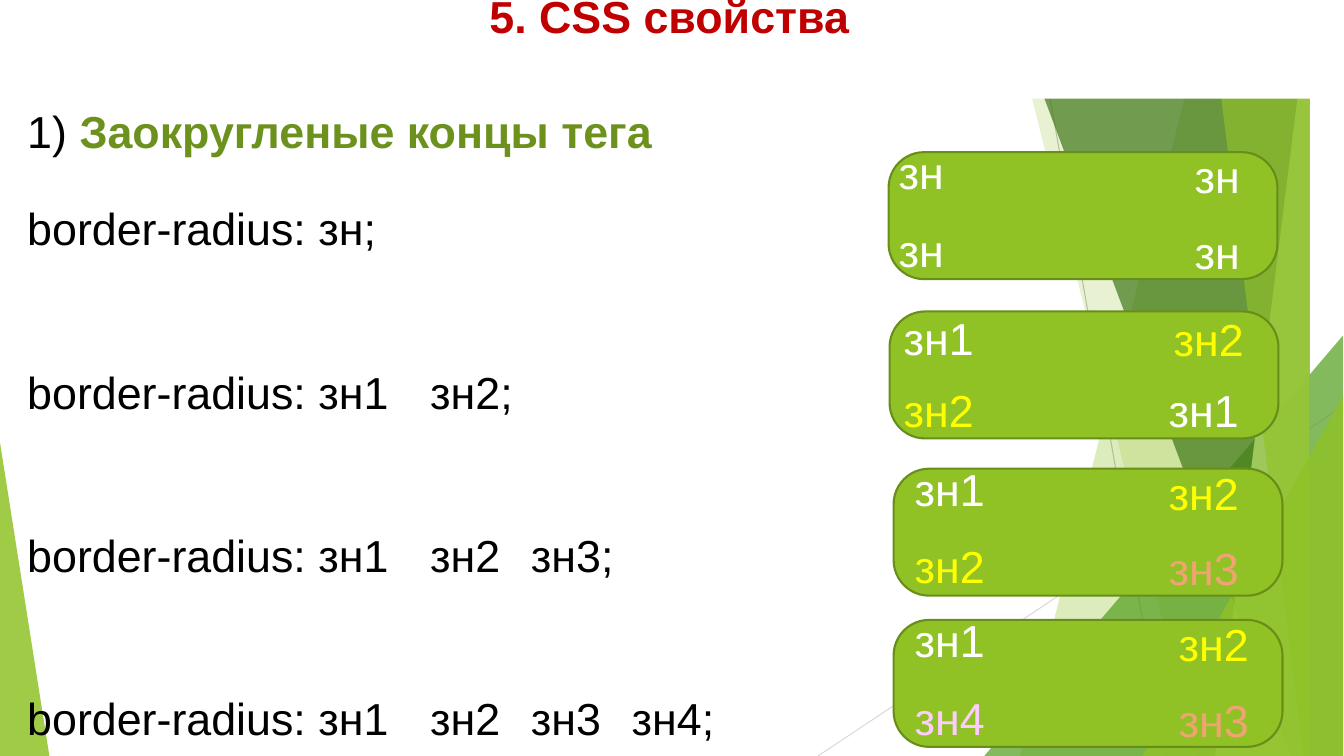
from typing import NamedTuple

from lxml.etree import SubElement
from pptx import Presentation
from pptx.dml.color import RGBColor
from pptx.enum.shapes import MSO_CONNECTOR, MSO_SHAPE
from pptx.enum.text import MSO_ANCHOR, MSO_AUTO_SIZE, PP_ALIGN
from pptx.oxml.ns import qn
from pptx.shapes.autoshape import Shape
from pptx.slide import Slide
from pptx.text.text import TextFrame, _Paragraph as Paragraph
from pptx.util import Inches, Pt

WHITE = RGBColor(0xFF, 0xFF, 0xFF)
BLACK = RGBColor(0x00, 0x00, 0x00)
RED = RGBColor(0xC0, 0x00, 0x00)
YELLOW = RGBColor(0xFF, 0xFF, 0x00)
ORANGE = RGBColor(0xF1, 0xA3, 0x74)
PINK = RGBColor(0xFF, 0xCC, 0xFF)
HEADING_GREEN = RGBColor(0x6C, 0x91, 0x1D)
GREEN = RGBColor(0x90, 0xC2, 0x26)
OUTLINE_GREEN = RGBColor(0x68, 0x8E, 0x19)
LEAF_GREEN = RGBColor(0x54, 0xA0, 0x21)
DARK_GREEN = RGBColor(0x3F, 0x78, 0x19)
LIGHT_GREEN = RGBColor(0xC0, 0xE4, 0x74)
GREY = RGBColor(0xBF, 0xBF, 0xBF)
LIGHT_GREY = RGBColor(0xD9, 0xD9, 0xD9)

FONT = "Arial"
TEXT_SIZE = Pt(32)
PAGE_RIGHT, PAGE_BOTTOM = 13.33, 7.5
VALUE_COLORS = {"зн": WHITE, "зн1": WHITE, "зн2": YELLOW, "зн3": ORANGE, "зн4": PINK}


class Ray(NamedTuple):
    start: tuple[float, float]
    end: tuple[float, float]
    color: RGBColor


class Facet(NamedTuple):
    """Band that reaches the right page edge, given by its left corners."""
    top_left: float
    bottom_left: float
    color: RGBColor
    opacity: int


class Wedge(NamedTuple):
    left: float
    top: float
    width: float
    apex: float
    color: RGBColor
    opacity: int


class Corner(NamedTuple):
    value: str
    left: float
    top: float


class RoundedBox(NamedTuple):
    left: float
    top: float
    corners: list[Corner]


RAYS = [
    Ray((10.25, 0), (11.58, 7.5), GREY),
    Ray((13.33, 4.03), (8.12, 7.5), LIGHT_GREY),
]
BACK_FACETS = [Facet(12.28, 10.04, GREEN, 30), Facet(10.5, 11.82, GREEN, 20)]
FRONT_FACETS = [
    Facet(10.21, 12.91, DARK_GREEN, 70),
    Facet(13.03, 11.92, LIGHT_GREEN, 70),
    Facet(11.96, 13.18, GREEN, 65),
]
BACK_WEDGES = [Wedge(9.77, 3.33, 3.56, 1, LEAF_GREEN, 72)]
FRONT_WEDGES = [
    Wedge(11.34, 3.93, 1.99, 1, GREEN, 80),
    Wedge(0, 4.39, 0.49, 0, GREEN, 85),
]
ROUNDED_BOXES = [
    RoundedBox(8.82, 1.51, [Corner("зн", 8.82, 1.39), Corner("зн", 8.82, 2.16),
                            Corner("зн", 11.76, 2.18), Corner("зн", 11.76, 1.43)]),
    RoundedBox(8.83, 3.09, [Corner("зн1", 8.87, 3.03), Corner("зн2", 8.87, 3.75),
                            Corner("зн1", 11.5, 3.75), Corner("зн2", 11.55, 3.04)]),
    RoundedBox(8.87, 4.65, [Corner("зн1", 8.98, 4.53), Corner("зн2", 8.98, 5.3),
                            Corner("зн3", 11.5, 5.32), Corner("зн2", 11.5, 4.57)]),
    RoundedBox(8.87, 6.15, [Corner("зн1", 8.98, 6.03), Corner("зн4", 8.98, 6.8),
                            Corner("зн3", 11.6, 6.82), Corner("зн2", 11.6, 6.07)]),
]
RULES = [
    "border-radius: зн;",
    "border-radius: зн1\tзн2;",
    "border-radius: зн1\tзн2\tзн3;",
    "border-radius: зн1\tзн2\tзн3\tзн4;",
]
VALUE_TABS = [3.55 + 0.94 * index for index in range(3)]


def fill_shape(shape: Shape, color: RGBColor, opacity: int = 100) -> None:
    shape.shadow.inherit = False
    shape.line.fill.background()
    shape.fill.solid()
    shape.fill.fore_color.rgb = color
    if opacity < 100:
        color_element = shape.element.spPr.find(qn("a:solidFill"))[0]
        SubElement(color_element, qn("a:alpha"), val=str(opacity * 1000))


def add_ray(page: Slide, ray: Ray) -> None:
    line = page.shapes.add_connector(
        MSO_CONNECTOR.STRAIGHT, *map(Inches, ray.start + ray.end))
    line.line.color.rgb = ray.color
    line.line.width = Pt(0.75)
    SubElement(line.element.spPr, qn("a:effectLst"))


def add_facet(page: Slide, facet: Facet) -> None:
    outline = page.shapes.build_freeform(facet.top_left, -0.01, scale=Inches(1))
    outline.add_line_segments([(PAGE_RIGHT, -0.01), (PAGE_RIGHT, PAGE_BOTTOM),
                               (facet.bottom_left, PAGE_BOTTOM)], close=True)
    fill_shape(outline.convert_to_shape(), facet.color, facet.opacity)


def add_wedge(page: Slide, wedge: Wedge) -> None:
    triangle = page.shapes.add_shape(
        MSO_SHAPE.ISOSCELES_TRIANGLE, Inches(wedge.left), Inches(wedge.top),
        Inches(wedge.width), Inches(PAGE_BOTTOM - wedge.top))
    triangle.adjustments[0] = wedge.apex
    fill_shape(triangle, wedge.color, wedge.opacity)


def place(shape: Shape, left: float, top: float, width: float, height: float) -> None:
    """Move a placeholder and bring it to the front."""
    shape.left, shape.top = Inches(left), Inches(top)
    shape.width, shape.height = Inches(width), Inches(height)
    shape.element.getparent().append(shape.element)


def set_frame(frame: TextFrame) -> None:
    frame.word_wrap = True
    frame.auto_size = MSO_AUTO_SIZE.NONE
    frame.vertical_anchor = MSO_ANCHOR.TOP


def set_font(para: Paragraph, color: RGBColor, bold: bool = False) -> None:
    para.font.name = FONT
    para.font.size = TEXT_SIZE
    para.font.bold = bold
    para.font.color.rgb = color


def fill_title(title: Shape) -> None:
    place(title, -0.02, -0.19, 13.33, 1.17)
    fill_shape(title, WHITE)
    set_frame(title.text_frame)
    title.text_frame.margin_top = Inches(0.08)
    para = title.text_frame.paragraphs[0]
    para.text = "5. CSS свойства"
    para.alignment = PP_ALIGN.CENTER
    set_font(para, RED, bold=True)


def fill_body(body: Shape) -> None:
    place(body, 0.17, 0.98, 12.7, 6.37)
    frame = body.text_frame
    set_frame(frame)
    heading = frame.paragraphs[0]
    heading.add_run().text = "1) "
    span = heading.add_run()
    span.text = "Заокругленые концы тега"
    span.font.bold = True
    span.font.color.rgb = HEADING_GREEN
    for rule in RULES:
        frame.add_paragraph().text = rule
    for para, gap in zip(frame.paragraphs, [0, 31, 78.3, 78.3, 78.3]):
        para.space_before = Pt(gap)
        properties = para._p.get_or_add_pPr()
        properties.set("marL", "0")
        properties.set("indent", "0")
        SubElement(properties, qn("a:buNone"))
        tabs = SubElement(properties, qn("a:tabLst"))
        for position in VALUE_TABS:
            SubElement(tabs, qn("a:tab"), pos=str(Inches(position)), algn="l")
        set_font(para, BLACK)


def add_rounded_box(page: Slide, box: RoundedBox) -> None:
    shape = page.shapes.add_shape(MSO_SHAPE.ROUNDED_RECTANGLE, Inches(box.left),
                                  Inches(box.top), Inches(3.86), Inches(1.26))
    shape.adjustments[0] = 0.28
    fill_shape(shape, GREEN)
    shape.line.color.rgb = OUTLINE_GREEN
    shape.line.width = Pt(1.5)
    for corner in box.corners:
        label = page.shapes.add_textbox(Inches(corner.left), Inches(corner.top),
                                        Inches(3.51), Inches(0.64))
        set_frame(label.text_frame)
        para = label.text_frame.paragraphs[0]
        para.text = corner.value
        set_font(para, VALUE_COLORS[corner.value])


def main() -> None:
    deck = Presentation()
    deck.slide_width, deck.slide_height = Inches(13.34), Inches(7.5)
    page = deck.slides.add_slide(deck.slide_layouts[1])
    for draw, items in [(add_ray, RAYS), (add_facet, BACK_FACETS), (add_wedge, BACK_WEDGES),
                        (add_facet, FRONT_FACETS), (add_wedge, FRONT_WEDGES)]:
        for item in items:
            draw(page, item)
    fill_title(page.shapes.title)
    fill_body(page.placeholders[1])
    for box in ROUNDED_BOXES:
        add_rounded_box(page, box)
    deck.save("out.pptx")


if __name__ == "__main__":
    main()
